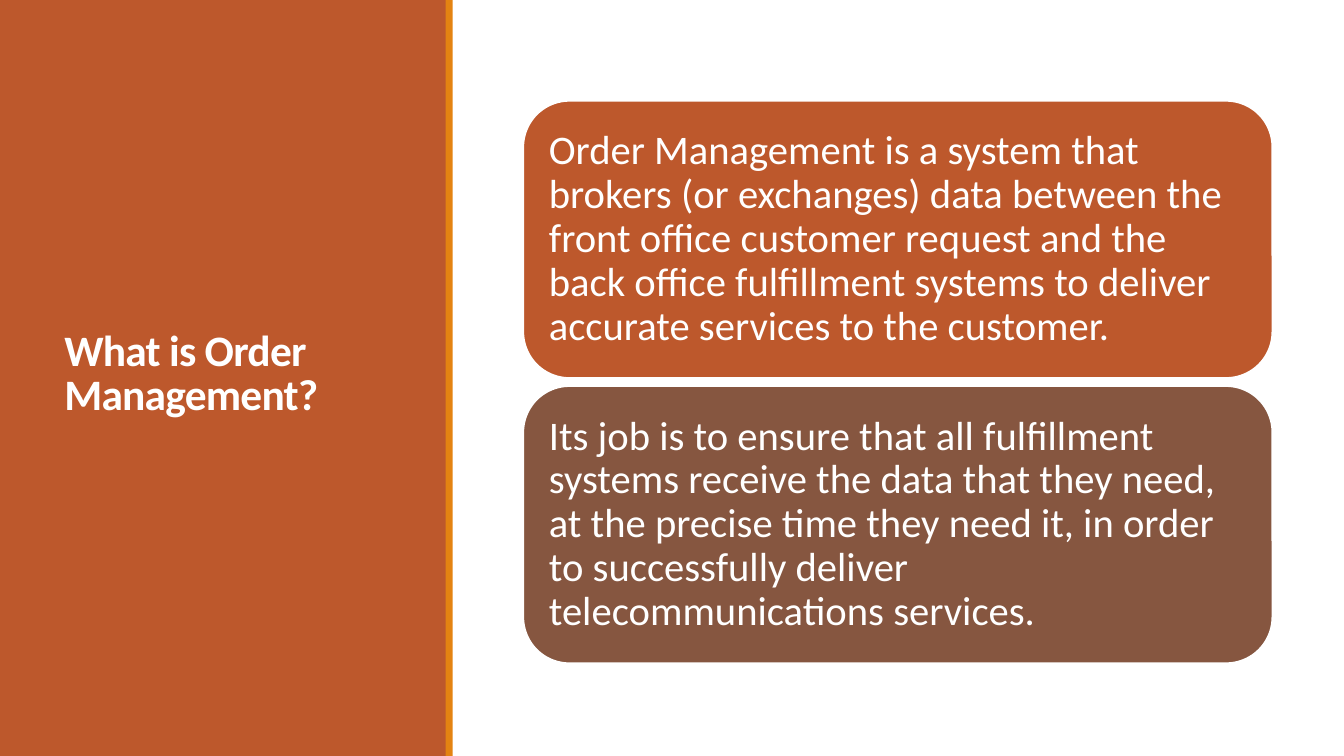
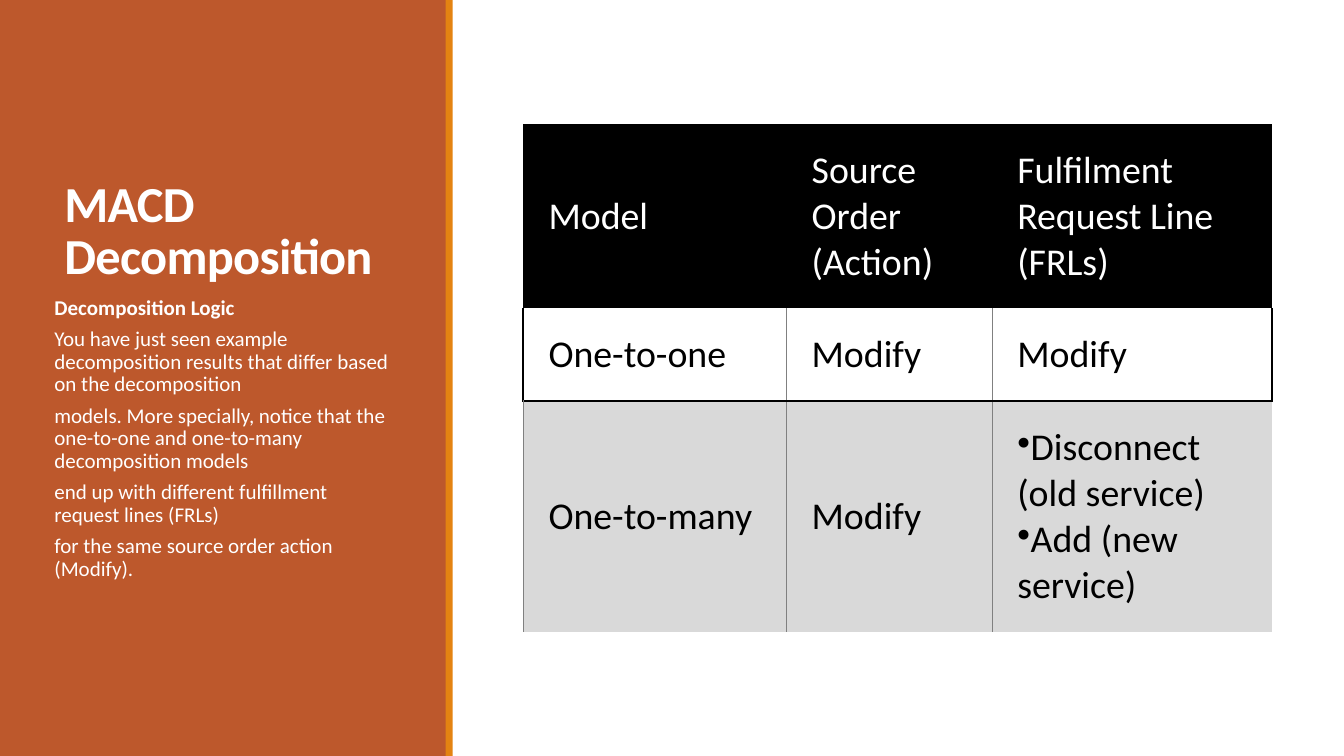
from lxml.etree import SubElement
from pptx import Presentation
from pptx.dml.color import RGBColor
from pptx.enum.shapes import MSO_SHAPE as SHAPE
from pptx.enum.text import MSO_ANCHOR as ANCHOR
from pptx.oxml.ns import qn
from pptx.util import Inches, Pt

RUST, ORANGE, BROWN = "BD582C", "E48312", "865640"
WHITE, BLACK, GREY, SILVER = "FFFFFF", "000000", "808080", "D9D9D9"
NO_GRID = "{2D5ABB26-0587-4C30-8999-92F81FD0307C}"
BODY_LEFT, BODY_WIDTH = 5.19, 7.43


def paint(target, color):
    target.solid()
    target.fore_color.rgb = RGBColor.from_string(color)


def write(p, text, size, color, bold=False, spacing=1.0):
    r = p.add_run()
    r.text = text
    p.line_spacing = spacing
    p.font.name = "Calibri"
    p.font.size = Pt(size)
    p.font.bold = bold
    paint(p.font.fill, color)
    return r


prs = Presentation()
prs.slide_width, prs.slide_height = Inches(13.33), Inches(7.5)

slides = []
for title, size, height, anchor in [
    ("What is Order Management?", 31, 6.31, ANCHOR.MIDDLE),
    ("MACD Decomposition", 36, 2.3, ANCHOR.BOTTOM),
]:
    s = prs.slides.add_slide(prs.slide_layouts[6])
    slides.append(s)
    for left, width, color in [(0, 4.43, RUST), (4.42, 0.07, ORANGE)]:
        sp = s.shapes.add_shape(SHAPE.RECTANGLE, Inches(left), 0, Inches(width), prs.slide_height)
        sp.shadow.inherit = False
        sp.line.fill.background()
        paint(sp.fill, color)
    tf = s.shapes.add_textbox(Inches(0.54), Inches(0.57), Inches(3.37), Inches(height)).text_frame
    tf.word_wrap = True
    tf.vertical_anchor = anchor
    r = write(tf.paragraphs[0], title, size, WHITE, True, 0.85)
    r.font._element.set("spc", "-50")

definition, decomposition = slides

cards = [
    (RUST, "Order Management is a system that brokers (or exchanges) data between the front office "
           "customer request and the back office fulfillment systems to deliver accurate services "
           "to the customer."),
    (BROWN, "Its job is to ensure that all fulfillment systems receive the data that they need, at "
            "the precise time they need it, in order to successfully deliver telecommunications "
            "services."),
]
for i, (color, text) in enumerate(cards):
    sp = definition.shapes.add_shape(SHAPE.ROUNDED_RECTANGLE, Inches(BODY_LEFT), Inches(1 + i * 2.83),
                                     Inches(BODY_WIDTH), Inches(2.75))
    sp.shadow.inherit = False
    paint(sp.fill, color)
    paint(sp.line.fill, WHITE)
    sp.line.width = Pt(1.25)
    tf = sp.text_frame
    tf.word_wrap = True
    tf.vertical_anchor = ANCHOR.MIDDLE
    tf.margin_left = tf.margin_right = tf.margin_top = tf.margin_bottom = Inches(0.12)
    p = tf.paragraphs[0]
    p.alignment = 1
    write(p, text, 29, WHITE, spacing=0.9)

logic = [
    "Decomposition Logic",
    "You have just seen example decomposition results that differ based on the decomposition",
    "models. More specially, notice that the one-to-one and one-to-many decomposition models",
    "end up with different fulfillment request lines (FRLs)",
    "for the same source order action (Modify).",
]
tf = decomposition.shapes.add_textbox(Inches(0.54), Inches(2.9), Inches(3.37), Inches(3.65)).text_frame
tf.word_wrap = True
tf.margin_left = tf.margin_right = 0
for i, text in enumerate(logic):
    p = tf.add_paragraph() if i else tf.paragraphs[0]
    p.space_after = Pt(6)
    write(p, text, 15, WHITE, i == 0, 0.9)

rows = [
    ["Model", "Source Order (Action)", "Fulfilment Request Line (FRLs)"],
    ["One-to-one", "Modify", "Modify"],
    ["One-to-many", "Modify", ["Disconnect (old service)", "Add (new service)"]],
]
row_styles = [(1.83, BLACK, WHITE), (0.92, WHITE, BLACK), (2.29, SILVER, BLACK)]
thick, thin = (BLACK, 1.5), (GREY, 0.5)
row_borders = [
    {},
    {"lnL": thin, "lnR": thin, "lnB": thick},
    {"lnL": thin, "lnR": thin, "lnT": thick},
]

table = decomposition.shapes.add_table(3, 3, Inches(BODY_LEFT), Inches(1.23),
                                       Inches(BODY_WIDTH), Inches(5.04)).table
table.first_row = table.horz_banding = False
table._tbl.tblPr.find(qn("a:tableStyleId")).text = NO_GRID
for column, width in zip(table.columns, [2.61, 2.04, 2.78]):
    column.width = Inches(width)

for y, (values, (height, fill, color)) in enumerate(zip(rows, row_styles)):
    table.rows[y].height = Inches(height)
    for x, value in enumerate(values):
        cell = table.cell(y, x)
        cell.vertical_anchor = ANCHOR.MIDDLE
        cell.margin_left = Inches(0.25)
        cell.margin_right = cell.margin_top = cell.margin_bottom = Inches(0.19)
        borders = dict(row_borders[y])
        if y == 1 and x == 0:
            borders["lnL"] = thick
        if x == 2 and y:
            borders["lnR"] = thick
            if y == 2:
                del borders["lnR"]
        tcPr = cell._tc.get_or_add_tcPr()
        for side, (line_color, width) in borders.items():
            ln = SubElement(tcPr, qn(f"a:{side}"), w=str(Pt(width)))
            SubElement(SubElement(ln, qn("a:solidFill")), qn("a:srgbClr"), val=line_color)
        paint(cell.fill, fill)
        bulleted = isinstance(value, list)
        for i, text in enumerate(value if bulleted else [value]):
            p = cell.text_frame.add_paragraph() if i else cell.text_frame.paragraphs[0]
            write(p, text, 27, color)
            if bulleted:
                pPr = p._p.get_or_add_pPr()
                pPr.set("marL", "0")
                pPr.set("indent", "0")
                bullet = pPr.makeelement(qn("a:buChar"), {"char": "•"})
                pPr.find(qn("a:defRPr")).addprevious(bullet)

prs.save("out.pptx")
